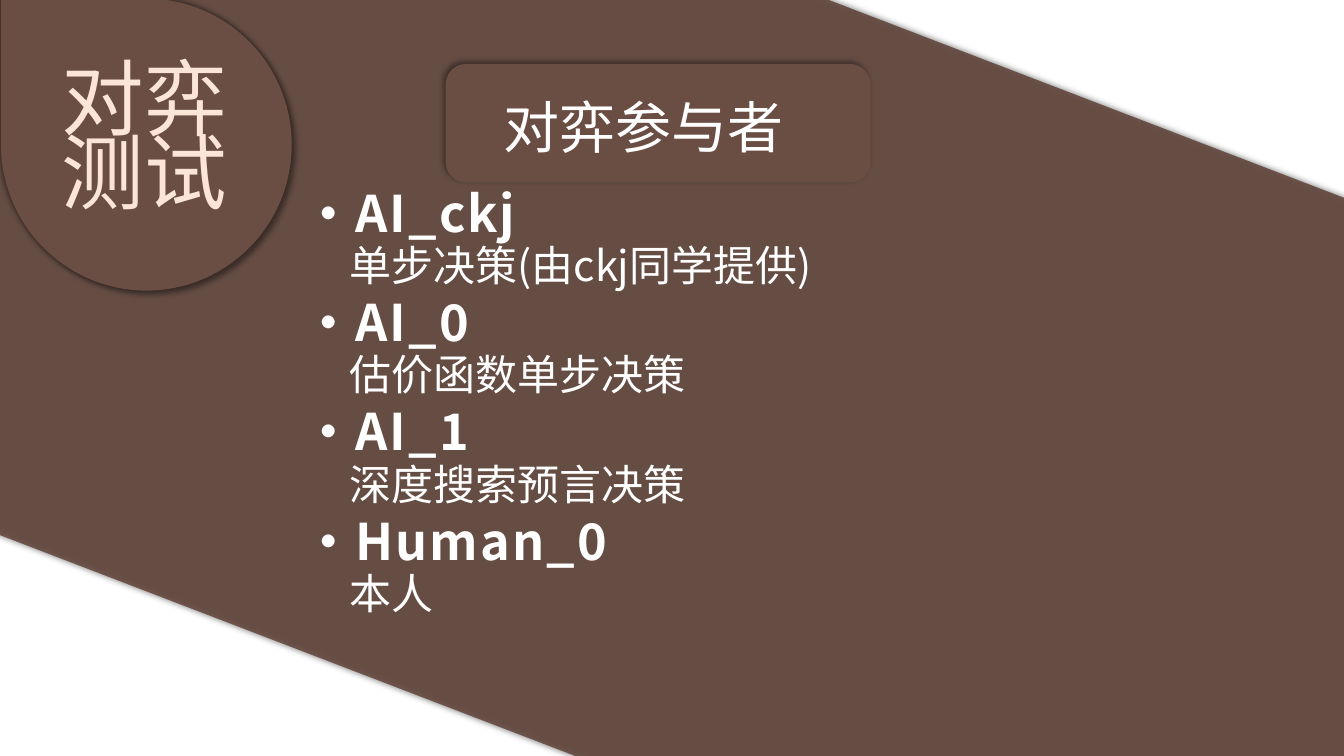
from lxml.etree import SubElement
from pptx import Presentation
from pptx.dml.color import RGBColor
from pptx.enum.lang import MSO_LANGUAGE_ID as Language
from pptx.enum.shapes import MSO_SHAPE as Preset
from pptx.enum.text import MSO_ANCHOR as Anchor
from pptx.oxml.ns import qn
from pptx.util import Cm, Pt

TITLE = "对弈测试"
HEADING = "对弈参与者"
PLAYERS = [
    ("AI_ckj", "单步决策(由ckj同学提供)"),
    ("AI_0", "估价函数单步决策"),
    ("AI_1", "深度搜索预言决策"),
    ("Human_0", "本人"),
]

FONT = "Noto Sans CJK SC"
BROWN, CREAM, WHITE, BLACK = "6A4D43", "FBE5D6", "FFFFFF", "000000"
DOWN_RIGHT, UP_LEFT = 45, 225

# left, top, width, height in centimetres
BAND = (-3.43, -0.94, 40, 20.07)
DROP = (0.03, 0, 7.32, 7.29)
PLATE = (11.25, 1.63, 10.67, 2.95)
TITLE_BOX = (1.3, 2.74, 5.69, 1.8)
HEADING_BOX = (12.45, 2.03, 9.04, 2.13)
NAME_LEFT, NAME_TOP, NAME_SIZE = 7.39, 4.47, (12.83, 1.8)
NOTE_LEFT, NOTE_DROP, NOTE_SIZE = 8.56, 1.45, (23.22, 1.52)
PLAYER_STEP = 2.75


def color(value):
    return RGBColor.from_string(value)


def add_shadow(shape, direction):
    shape.shadow.inherit = False
    effects = shape._element.spPr.find(qn("a:effectLst"))
    shadow = SubElement(effects, qn("a:outerShdw"), blurRad=str(Pt(4)), dist=str(Pt(3)),
                        dir=str(direction * 60000), algn="ctr", rotWithShape="0")
    shade = SubElement(shadow, qn("a:srgbClr"), val=BLACK)
    SubElement(shade, qn("a:alpha"), val="40000")


def add_brown(page, preset, place, direction, rotation=0, opacity=None):
    """Add a brown shape; one with an opacity gets no outline."""
    shape = page.shapes.add_shape(preset, *map(Cm, place))
    shape.rotation = rotation
    shape.fill.solid()
    shape.fill.fore_color.rgb = color(BROWN)
    if opacity is None:
        shape.line.color.rgb = color(BROWN)
        shape.line.width = Pt(1)
    else:
        tint = shape._element.spPr.find(qn("a:solidFill"))[0]
        SubElement(tint, qn("a:alpha"), val=str(opacity * 1000))
        shape.line.fill.background()
    add_shadow(shape, direction)
    return shape


def add_text(page, place, text, size, ink=WHITE, spacing=None, anchor=Anchor.TOP,
             bold=False, tracking=None):
    box = page.shapes.add_textbox(*map(Cm, place))
    frame = box.text_frame
    frame.word_wrap = True
    frame.vertical_anchor = anchor
    frame.text = text
    para = frame.paragraphs[0]
    para.line_spacing = spacing
    span = para.runs[0]
    span.font.name = FONT
    span.font.size = Pt(size)
    span.font.bold = bold
    span.font.color.rgb = color(ink)
    span.font.language_id = Language.SIMPLIFIED_CHINESE
    properties = span._r.get_or_add_rPr()
    SubElement(properties, qn("a:ea"), typeface=FONT)
    if tracking:
        properties.set("spc", str(int(tracking * 100)))


def main():
    deck = Presentation()
    deck.slide_width, deck.slide_height = Cm(33.87), Cm(19.05)
    page = deck.slides.add_slide(deck.slide_layouts[6])

    add_brown(page, Preset.ROUND_2_DIAG_RECTANGLE, BAND, DOWN_RIGHT, 21, 70)
    square_band = add_brown(page, Preset.ROUND_2_DIAG_RECTANGLE, BAND, UP_LEFT, 21, 70)
    square_band.adjustments[0] = 0
    for direction in (UP_LEFT, DOWN_RIGHT):
        add_brown(page, Preset.TEAR, DROP, direction, 270)
    add_text(page, TITLE_BOX, TITLE, 59, CREAM, 0.74, Anchor.MIDDLE)

    add_brown(page, Preset.ROUNDED_RECTANGLE, PLATE, UP_LEFT)
    add_text(page, HEADING_BOX, HEADING, 40, spacing=1.1)

    for index, (name, note) in enumerate(PLAYERS):
        top = NAME_TOP + index * PLAYER_STEP
        add_text(page, (NAME_LEFT, top, *NAME_SIZE), "·" + name, 36, bold=True, tracking=1.5)
        add_text(page, (NOTE_LEFT, top + NOTE_DROP, *NOTE_SIZE), note, 30)

    deck.save("out.pptx")


if __name__ == "__main__":
    main()
